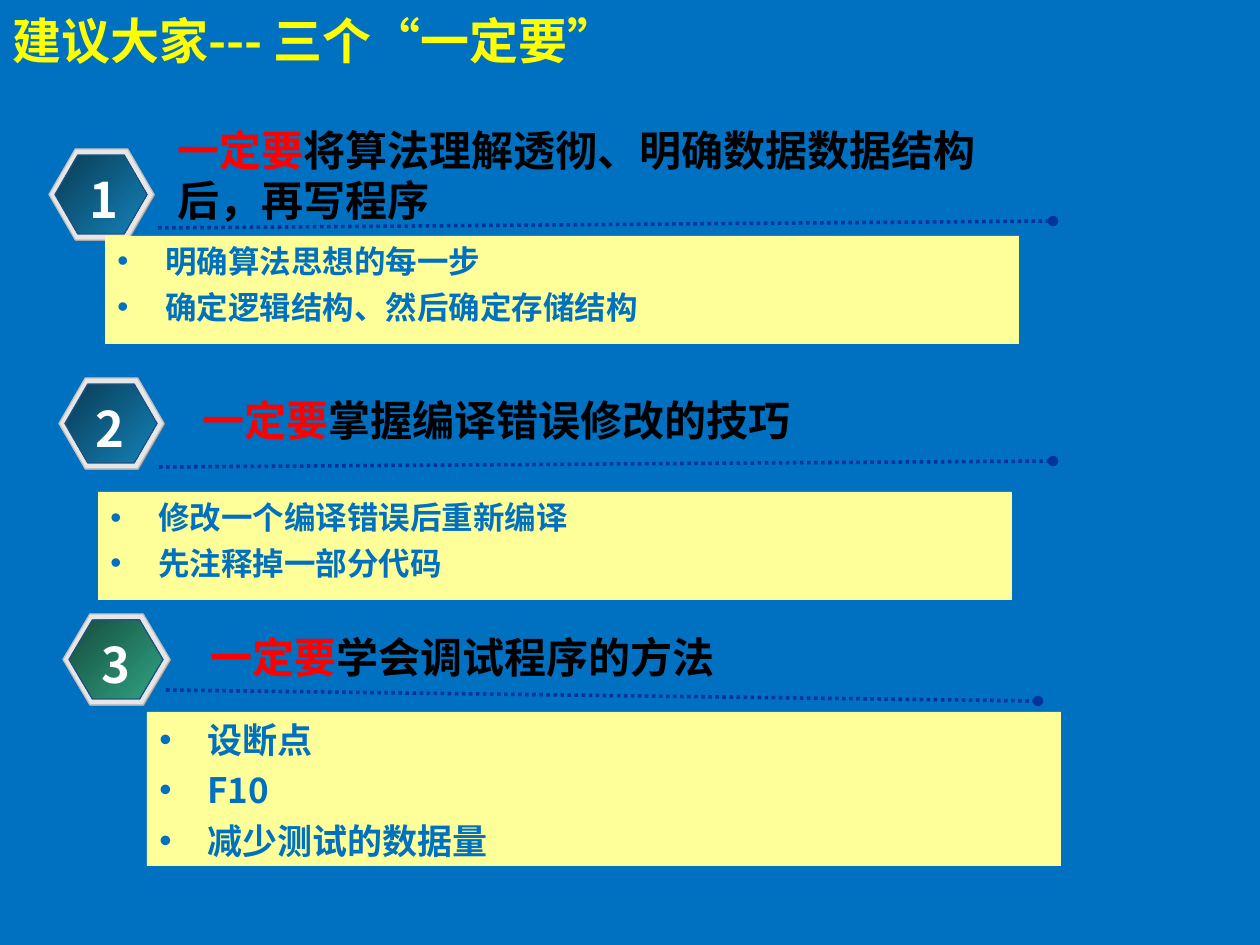
import pptx
import pptx.util
import pptx.dml.color
import pptx.enum.dml
import pptx.enum.shapes
import pptx.enum.text
import pptx.oxml.ns
from lxml import etree

RGB = pptx.dml.color.RGBColor
SHAPE = pptx.enum.shapes.MSO_SHAPE
ALIGN = pptx.enum.text.PP_ALIGN
ANCHOR = pptx.enum.text.MSO_ANCHOR
FIT = pptx.enum.text.MSO_AUTO_SIZE
qn = pptx.oxml.ns.qn

BLUE = RGB(0x00, 0x70, 0xC0)
YELLOW = RGB(0xFF, 0xFF, 0x00)
RED = RGB(0xFF, 0x00, 0x00)
BLACK = RGB(0x00, 0x00, 0x00)
WHITE = RGB(0xFF, 0xFF, 0xFF)
CREAM = RGB(0xFF, 0xFF, 0x99)
NAVY = RGB(0x00, 0x33, 0x99)
SHADE = RGB(0x80, 0x80, 0x80)
RIM = RGB(0xE6, 0xE6, 0xE6)
RIM_EDGE = RGB(0xC0, 0xC0, 0xC0)
FACE_EDGE = RGB(0x1F, 0x52, 0x81)
TEAL_FACE = [RGB(0x09, 0x3C, 0x55), RGB(0x14, 0x81, 0xB8)]
GREEN_FACE = [RGB(0x16, 0x4C, 0x3D), RGB(0x30, 0xA4, 0x83)]

FONT = "Noto Sans CJK SC"
EMU_PER_PX = 914400 / 126
INDENT = 48

# Content; boxes are (left, top, width, height), rules are (x1, y1, x2, y2), in px
TITLE = "建议大家--- 三个“一定要”"
MUST = "一定要"
SECTIONS = [
    dict(number="1", advice="将算法理解透彻、明确数据数据结构后，再写程序",
         steps=["明确算法思想的每一步", "确定逻辑结构、然后确定存储结构"], step_size=18,
         face=TEAL_FACE, badge=(49, 149, 105, 91), number_left=77, hexagon=0.289,
         rule=(158, 228, 1053, 221), heading=(165, 118, 853, 113),
         panel=(105, 236, 914, 108)),
    dict(number="2", advice="掌握编译错误修改的技巧",
         steps=["修改一个编译错误后重新编译", "先注释掉一部分代码"], step_size=18,
         face=TEAL_FACE, badge=(59, 378, 105, 91), number_left=83, hexagon=0.289,
         rule=(159, 467, 1053, 461), heading=(190, 388, 892, 125),
         panel=(98, 492, 914, 108)),
    dict(number="3", advice="学会调试程序的方法",
         steps=["设断点", "F10", "减少测试的数据量"], step_size=20,
         face=GREEN_FACE, badge=(63, 614, 107, 91), number_left=89, hexagon=0.296,
         rule=(166, 690, 1038, 701), heading=(198, 625, 825, 125),
         panel=(147, 712, 914, 154)),
]


def px(*lengths):
    return [round(length * EMU_PER_PX) for length in lengths]


def add_bullet(paragraph, color):
    props = paragraph._p.get_or_add_pPr()
    indent = px(INDENT)[0]
    props.set("marL", str(indent))
    props.set("indent", str(-indent))
    bullet_color = etree.SubElement(props, qn("a:buClr"))
    etree.SubElement(bullet_color, qn("a:srgbClr"), val=str(color))
    etree.SubElement(props, qn("a:buFont"), typeface="Arial")
    etree.SubElement(props, qn("a:buChar"), char="•")


def write(shape, paragraphs, size=18, align=ALIGN.LEFT, anchor=ANCHOR.TOP,
          wrap=True, fit=FIT.NONE, gap=0, bullets=False):
    """Fill a shape with paragraphs, each a list of (text, color) runs."""
    frame = shape.text_frame
    frame.word_wrap = wrap
    frame.auto_size = fit
    frame.vertical_anchor = anchor
    for i, runs in enumerate(paragraphs):
        paragraph = frame.paragraphs[0] if i == 0 else frame.add_paragraph()
        if bullets:
            add_bullet(paragraph, runs[0][1])
        paragraph.alignment = align
        paragraph.space_before = pptx.util.Pt(gap if i else 0)
        for text, color in runs:
            run = paragraph.add_run()
            run.text = text
            run.font.size = pptx.util.Pt(size)
            run.font.bold = True
            run.font.name = FONT
            run.font.color.rgb = color
            etree.SubElement(run._r.get_or_add_rPr(), qn("a:ea"), typeface=FONT)


def add_block(slide, kind, box, fill, edge=None, adjust=None):
    """Add a preset shape; a list of two colors as fill makes a gradient."""
    block = slide.shapes.add_shape(kind, *px(*box))
    block.shadow.inherit = False
    if adjust:
        block.adjustments[0] = adjust
    if isinstance(fill, list):
        block.fill.gradient()
        block.fill.gradient_angle = 315
        for stop, color, position in zip(block.fill.gradient_stops, fill, (0, 1)):
            stop.color.rgb = color
            stop.position = position
    else:
        block.fill.solid()
        block.fill.fore_color.rgb = fill
    if edge:
        block.line.color.rgb = edge
        block.line.width = pptx.util.Pt(0.75)
    else:
        block.line.fill.background()
    return block


def add_badge(slide, section):
    left, top, width, height = section["badge"]
    layers = [
        ((left + 1, top + 1, width, height), SHADE, None),
        ((left, top, width, height), RIM, RIM_EDGE),
        ((left + 6, top + 6, width - 13, height - 12), section["face"], FACE_EDGE),
    ]
    for box, fill, edge in layers:
        add_block(slide, SHAPE.HEXAGON, box, fill, edge, section["hexagon"])
    number = slide.shapes.add_textbox(*px(section["number_left"], top + 14, 53, 72))
    write(number, [[(section["number"], WHITE)]], size=28, align=ALIGN.CENTER,
          wrap=False, fit=FIT.SHAPE_TO_FIT_TEXT)


def add_rule(slide, ends):
    rule = slide.shapes.add_connector(pptx.enum.shapes.MSO_CONNECTOR.STRAIGHT, *px(*ends))
    rule.line.color.rgb = NAVY
    rule.line.width = pptx.util.Pt(2)
    rule.line.dash_style = pptx.enum.dml.MSO_LINE.ROUND_DOT
    etree.SubElement(rule.line._get_or_add_ln(), qn("a:tailEnd"), type="oval")
    etree.SubElement(rule._element.spPr, qn("a:effectLst"))


def main():
    deck = pptx.Presentation()
    deck.slide_width, deck.slide_height = px(1260, 945)
    slide = deck.slides.add_slide(deck.slide_layouts[5])
    slide.background.fill.solid()
    slide.background.fill.fore_color.rgb = BLUE

    # Title
    title = slide.shapes.title
    title.left, title.top, title.width, title.height = px(0, 0, 1221, 79)
    write(title, [[(TITLE, YELLOW)]], size=28, anchor=ANCHOR.MIDDLE)

    # Numbered advice with its panel of steps
    for section in SECTIONS:
        add_badge(slide, section)
        add_rule(slide, section["rule"])
        heading = slide.shapes.add_textbox(*px(*section["heading"]))
        write(heading, [[(MUST, RED), (section["advice"], BLACK)]], size=24,
              fit=FIT.SHAPE_TO_FIT_TEXT)
        panel = add_block(slide, SHAPE.RECTANGLE, section["panel"], CREAM)
        write(panel, [[(step, BLUE)] for step in section["steps"]],
              size=section["step_size"], gap=section["step_size"] / 4, bullets=True)

    deck.save("out.pptx")


if __name__ == "__main__":
    main()
